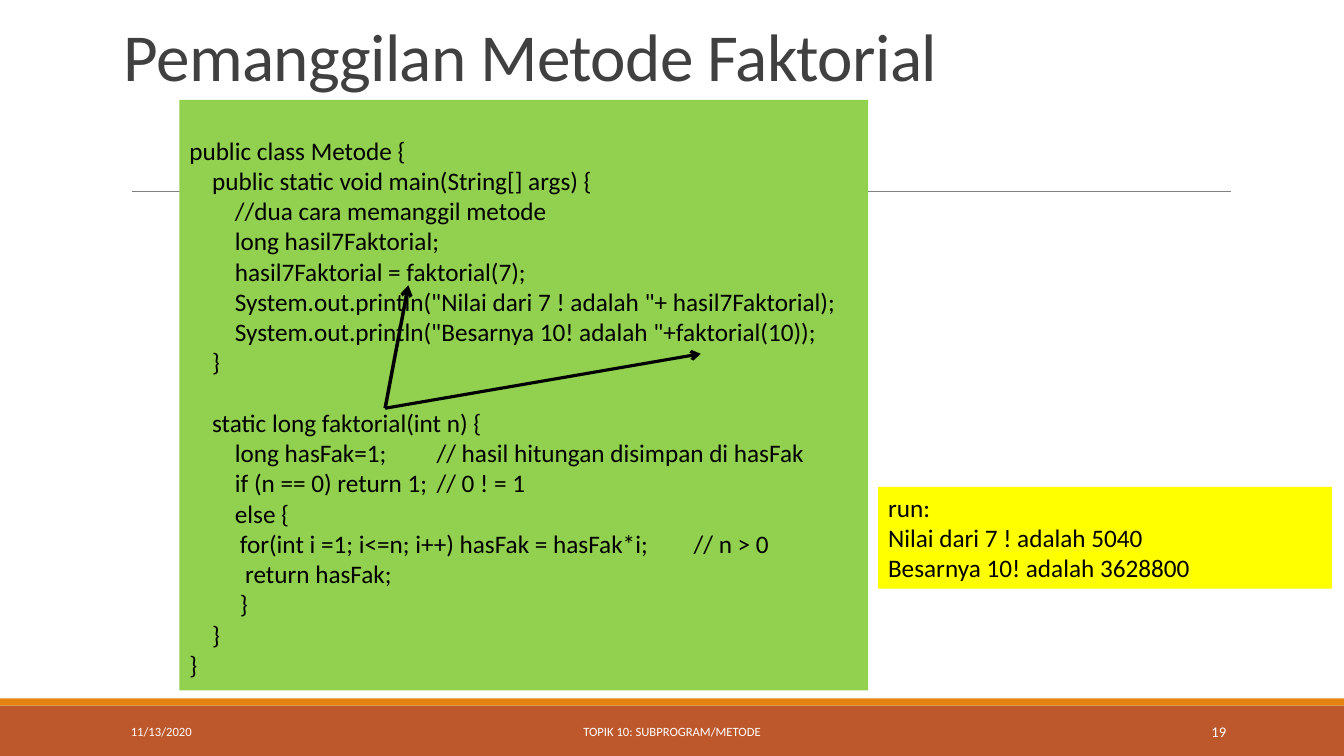
from lxml import etree
from pptx import Presentation
from pptx import util as u
from pptx.dml.color import RGBColor
from pptx.enum import shapes, text
from pptx.oxml import ns

WHITE = RGBColor(0xFF, 0xFF, 0xFF)
BLACK = RGBColor(0, 0, 0)
DARK = RGBColor(0x40, 0x40, 0x40)
GRAY = RGBColor(0x80, 0x80, 0x80)
RUST = RGBColor(0xBD, 0x58, 0x2C)
ORANGE = RGBColor(0xE4, 0x83, 0x12)
GREEN = RGBColor(0x92, 0xD0, 0x50)
YELLOW = RGBColor(0xFF, 0xFF, 0x00)

INDENT = 0.226
LINE_HEIGHT = 0.3

# Each entry: indent in steps, code, comment, comment position
CODE = [
    (0, "public class Metode {"),
    (1, "public static void main(String[] args) {"),
    (2, "//dua cara memanggil metode"),
    (2, "long hasil7Faktorial;"),
    (2, "hasil7Faktorial = faktorial(7);"),
    (2, 'System.out.println("Nilai dari 7 ! adalah "+ hasil7Faktorial);'),
    (2, 'System.out.println("Besarnya 10! adalah "+faktorial(10));'),
    (1, "}"),
    (1, "static long faktorial(int n) {"),
    (2, "long hasFak=1;", "// hasil hitungan disimpan di hasFak", 2.52),
    (2, "if (n == 0) return 1;", "// 0 ! = 1", 2.47),
    (2, "else {"),
    (2.22, "for(int i =1; i<=n; i++) hasFak = hasFak*i;", "// n > 0", 4.77),
    (2.45, "return hasFak;"),
    (2.22, "}"),
    (1, "}"),
    (0, "}"),
]
METHOD_START = 8
OUTPUT = ["run:", "Nilai dari 7 ! adalah 5040", "Besarnya 10! adalah 3628800"]


class SlideBuilder:
    font = "Calibri"

    def __init__(self, page):
        self.page = page

    def style(self, para, size, color):
        para.font.name = self.font
        para.font.size = u.Pt(size)
        para.font.color.rgb = color

    def panel(self, left, top, width, height, color):
        box = self.page.shapes.add_shape(
            shapes.MSO_SHAPE.RECTANGLE,
            *map(u.Inches, (left, top, width, height)))
        box.shadow.inherit = False
        box.fill.solid()
        box.fill.fore_color.rgb = color
        box.line.fill.background()
        return box

    def listing(self, box, lines, top_margin=0.05):
        frame = box.text_frame
        frame.word_wrap = True
        frame.vertical_anchor = text.MSO_ANCHOR.TOP
        frame.margin_top = u.Inches(top_margin)
        for index, (level, code, *comment) in enumerate(lines):
            para = frame.paragraphs[0] if index == 0 else frame.add_paragraph()
            para.alignment = text.PP_ALIGN.LEFT
            self.style(para, 18, BLACK)
            indent = u.Inches(level * INDENT)
            properties = para._p.get_or_add_pPr()
            properties.set("marL", str(indent))
            properties.set("indent", "0")
            para.text = code
            if comment:
                note, position = comment
                para.text = f"{code}\t{note}"
                stops = etree.Element(ns.qn("a:tabLst"))
                etree.SubElement(stops, ns.qn("a:tab"),
                                 pos=str(u.Inches(position)), algn="l")
                properties.find(ns.qn("a:defRPr")).addprevious(stops)
        return frame

    def label(self, left, top, width, height, words, size, color,
              align=text.PP_ALIGN.LEFT, anchor=text.MSO_ANCHOR.MIDDLE):
        box = self.page.shapes.add_textbox(
            *map(u.Inches, (left, top, width, height)))
        frame = box.text_frame
        frame.word_wrap = True
        frame.vertical_anchor = anchor
        para = frame.paragraphs[0]
        para.text = words
        para.alignment = align
        self.style(para, size, color)
        return para

    def line(self, start, end, color, width, arrow=False):
        connector = self.page.shapes.add_connector(
            shapes.MSO_CONNECTOR.STRAIGHT, *map(u.Inches, (*start, *end)))
        connector.line.color.rgb = color
        connector.line.width = u.Pt(width)
        if arrow:
            etree.SubElement(connector.line._get_or_add_ln(),
                             ns.qn("a:tailEnd"), type="arrow")
        etree.SubElement(connector._element.spPr, ns.qn("a:effectLst"))


def main():
    deck = Presentation()
    deck.slide_width = u.Inches(13.33)
    deck.slide_height = u.Inches(7.5)
    builder = SlideBuilder(deck.slides.add_slide(deck.slide_layouts[6]))

    builder.panel(0, 7, 13.33, 0.5, RUST)
    builder.panel(0, 6.93, 13.33, 0.07, ORANGE)
    builder.line((1.31, 1.9), (12.21, 1.9), GRAY, 0.5)

    title = builder.label(1.13, 0.06, 11, 0.93, "Pemanggilan Metode Faktorial",
                          48, DARK, anchor=text.MSO_ANCHOR.BOTTOM)
    title.line_spacing = 0.85
    title.runs[0].font._element.set("spc", "-50")

    code_box = builder.panel(1.78, 0.99, 6.83, 5.86, GREEN)
    code = builder.listing(code_box, CODE, 0.05 + LINE_HEIGHT)
    code.paragraphs[METHOD_START].space_before = u.Inches(LINE_HEIGHT)
    output_box = builder.panel(8.71, 4.83, 4.5, 1.01, YELLOW)
    builder.listing(output_box, [(0, words) for words in OUTPUT])

    method = (3.82, 4.05)
    for call, width in (((4.05, 2.83), 2.5), ((6.95, 3.51), 2.25)):
        builder.line(method, call, BLACK, width, arrow=True)

    for left, width, words, size, align in (
            (1.2, 2.7, "11/13/2020", 9, text.PP_ALIGN.LEFT),
            (4.03, 5.27, "TOPIK 10: SUBPROGRAM/METODE", 9, text.PP_ALIGN.CENTER),
            (10.83, 1.43, "19", 10.5, text.PP_ALIGN.RIGHT)):
        builder.label(left, 7.06, width, 0.4, words, size, WHITE, align)

    deck.save("out.pptx")


if __name__ == "__main__":
    main()
